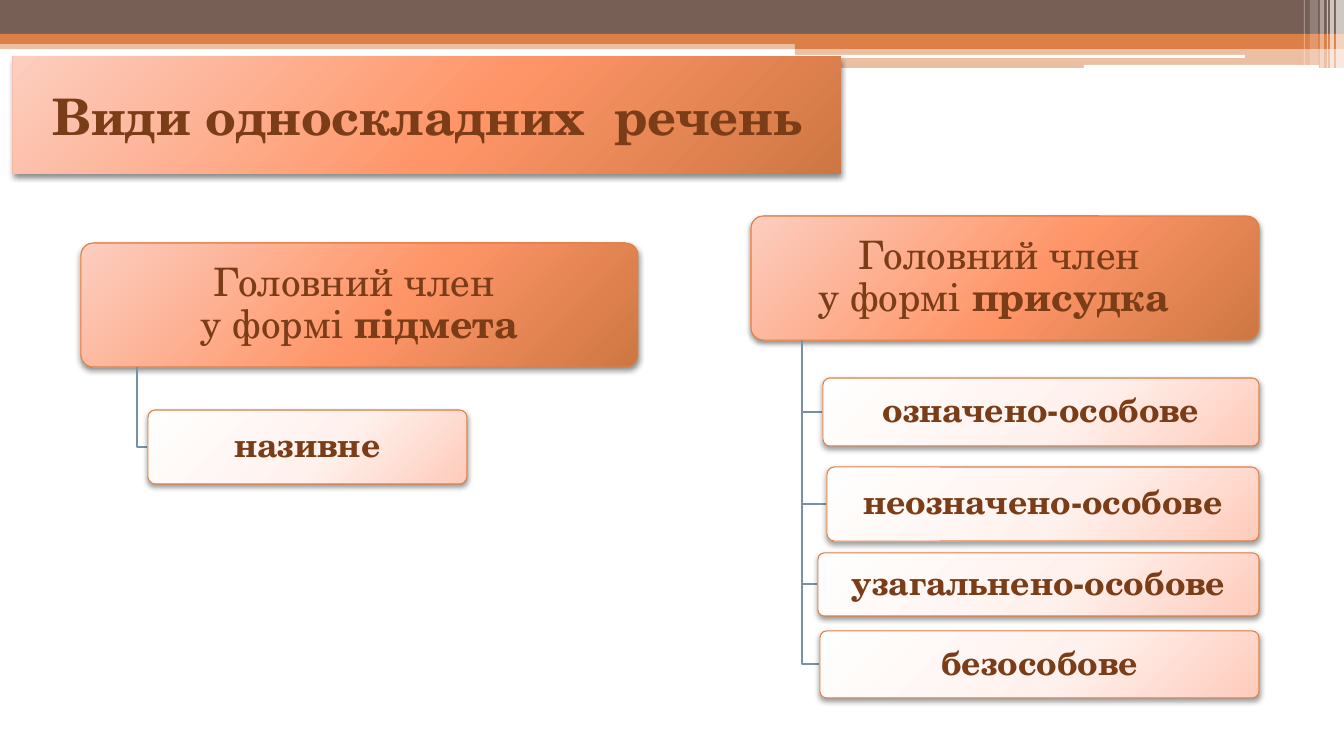
import pptx
import pptx.util
import pptx.dml.color
import pptx.enum.shapes
import pptx.enum.text
import pptx.oxml
import pptx.oxml.ns
from dataclasses import dataclass

PX = 914400 / 100.8
SLIDE_W, SLIDE_H = 1344, 756


@dataclass(frozen=True)
class Theme:
    font: str = "TeX Gyre Schola"
    text: str = "7B3D17"
    brown: str = "775F55"
    orange: str = "DD8047"
    white: str = "FFFFFF"
    branch: str = "7792A8"
    strong: tuple = ((0, "FDCEBF"), (55, "FE9568"), (100, "CE7742"))
    pale: tuple = ((0, "FFFEFE"), (55, "FFF2EE"), (100, "FFCBBA"))
    title_size: int = 36
    parent_size: int = 28
    child_size: int = 24


THEME = Theme()

# Boxes are left, top, width, height in px; opacity is in percent.
BANDS = [
    ((0, 40, SLIDE_W, 9), THEME.orange, 50),
    ((0, 0, SLIDE_W, 34), THEME.brown, 100),
    ((0, 34, SLIDE_W, 10), THEME.orange, 100),
    ((795, 39, 549, 10), THEME.orange, 100),
    ((795, 48, 549, 20), THEME.orange, 50),
]
SLOTS = [(794, 55, 451, 3), (1084, 65, 235, 4)]
# left, width, height, opacity
STRIPES = [(1336, 8, 69, 65), (1330, 4, 69, 65), (1327, 1, 69, 60),
           (1320, 4, 69, 40), (1310, 8, 65, 20), (1304, 1, 65, 30)]

# A text is a list of lines, a line is a list of (words, bold).
TITLE = ((13, 57, 828, 117), [[("Види односкладних  речень", True)]])
TREES = [
    {"box": (81, 243, 557, 124),
     "lines": [[("Головний член ", False)],
               [("у формі ", False), ("підмета", True)]],
     "children": [("називне", (148, 410, 319, 74))]},
    {"box": (751, 216, 508, 124),
     "lines": [[("Головний член ", False)],
               [("у формі ", False), ("присудка  ", True)]],
     "children": [("означено-особове", (823, 378, 436, 68)),
                  ("неозначено-особове", (827, 467, 432, 74)),
                  ("узагальнено-особове", (818, 553, 441, 63)),
                  ("безособове", (820, 631, 439, 67))]},
]

TITLE_FORMAT = {"size": THEME.title_size, "stops": THEME.strong, "opacity": 45,
                "inset": (10, 5), "spacing": 1.0, "outlined": False}
PARENT_FORMAT = {"size": THEME.parent_size, "stops": THEME.strong, "opacity": 45,
                 "inset": (6, 4), "spacing": 0.9, "outlined": True}
CHILD_FORMAT = {"size": THEME.child_size, "stops": THEME.pale, "opacity": 40,
                "inset": (5, 3), "spacing": 0.9, "outlined": True}

SHAPE = pptx.enum.shapes.MSO_SHAPE
NS = pptx.oxml.ns.nsdecls("a")


def px(n):
    return pptx.util.Emu(round(n * PX))


def rgb(color):
    return pptx.dml.color.RGBColor.from_string(color)


def set_all(obj, values):
    for name, value in values.items():
        setattr(obj, name, value)


def add_plain(shapes, kind, box):
    sp = shapes.add_shape(kind, *map(px, box))
    sp.shadow.inherit = False
    sp.line.fill.background()
    return sp


def add_flat(shapes, kind, box, color, opacity=100):
    sp = add_plain(shapes, kind, box)
    sp.fill.solid()
    sp.fill.fore_color.rgb = rgb(color)
    if opacity < 100:
        clr = sp._element.spPr.find(".//" + pptx.oxml.ns.qn("a:srgbClr"))
        clr.append(pptx.oxml.parse_xml(f'<a:alpha {NS} val="{opacity * 1000}"/>'))
    return sp


def set_gradient(sp, stops):
    """Fill with a circular gradient centred beyond the top left corner."""
    gs = "".join(f'<a:gs pos="{pos * 1000}"><a:srgbClr val="{color}"/></a:gs>'
                 for pos, color in stops)
    sp.fill.background()
    spPr = sp._element.spPr
    spPr.replace(spPr.find(pptx.oxml.ns.qn("a:noFill")), pptx.oxml.parse_xml(
        f'<a:gradFill {NS} rotWithShape="1"><a:gsLst>{gs}</a:gsLst>'
        '<a:path path="circle"><a:fillToRect l="-40000" t="-90000" '
        'r="140000" b="190000"/></a:path></a:gradFill>'))


def set_shadow(sp, opacity):
    effects = sp._element.spPr.find(pptx.oxml.ns.qn("a:effectLst"))
    effects.append(pptx.oxml.parse_xml(
        f'<a:outerShdw {NS} blurRad="{pptx.util.Pt(4)}" dist="{pptx.util.Pt(2)}" '
        'dir="5400000" rotWithShape="0"><a:srgbClr val="000000">'
        f'<a:alpha val="{opacity * 1000}"/></a:srgbClr></a:outerShdw>'))


def add_card(shapes, box, lines, fmt):
    kind = SHAPE.ROUNDED_RECTANGLE if fmt["outlined"] else SHAPE.RECTANGLE
    sp = add_plain(shapes, kind, box)
    set_gradient(sp, fmt["stops"])
    set_shadow(sp, fmt["opacity"])
    if fmt["outlined"]:
        sp.adjustments[0] = 0.1
        sp.line.color.rgb = rgb(THEME.orange)
        sp.line.width = pptx.util.Pt(0.75)
    side, edge = map(px, fmt["inset"])
    tf = sp.text_frame
    set_all(tf, {"word_wrap": True,
                 "vertical_anchor": pptx.enum.text.MSO_ANCHOR.MIDDLE,
                 "margin_left": side, "margin_right": side,
                 "margin_top": edge, "margin_bottom": edge})
    for i, line in enumerate(lines):
        p = tf.add_paragraph() if i else tf.paragraphs[0]
        set_all(p, {"alignment": pptx.enum.text.PP_ALIGN.CENTER,
                    "line_spacing": fmt["spacing"]})
        for words, bold in line:
            r = p.add_run()
            r.text = words
            set_all(r.font, {"name": THEME.font, "bold": bold,
                             "size": pptx.util.Pt(fmt["size"])})
            r.font.color.rgb = rgb(THEME.text)


def add_branch(shapes, parent, child):
    """Drop from a tenth of the parent's width, then turn to the child's side."""
    x = round(parent[0] + parent[2] / 10)
    y = child[1] + child[3] / 2
    fb = shapes.build_freeform(x, parent[1] + parent[3], scale=PX)
    fb.add_line_segments([(x, y), (child[0], y)], close=False)
    sp = fb.convert_to_shape()
    sp.shadow.inherit = False
    sp.fill.background()
    sp.line.color.rgb = rgb(THEME.branch)
    sp.line.width = pptx.util.Pt(1.5)


def main():
    prs = pptx.Presentation()
    prs.slide_width, prs.slide_height = px(SLIDE_W), px(SLIDE_H)
    s = prs.slides.add_slide(prs.slide_layouts[6])
    shapes = s.shapes

    for box, color, opacity in BANDS:
        add_flat(shapes, SHAPE.RECTANGLE, box, color, opacity)
    for box in SLOTS:
        add_flat(shapes, SHAPE.ROUNDED_RECTANGLE, box, THEME.white)
    for left, width, height, opacity in STRIPES:
        add_flat(shapes, SHAPE.RECTANGLE, (left, 0, width, height), THEME.white, opacity)

    add_card(shapes, *TITLE, TITLE_FORMAT)
    for tree in TREES:
        add_card(shapes, tree["box"], tree["lines"], PARENT_FORMAT)
        for name, box in tree["children"]:
            add_branch(shapes, tree["box"], box)
            add_card(shapes, box, [[(name, True)]], CHILD_FORMAT)

    prs.save("out.pptx")


if __name__ == "__main__":
    main()
